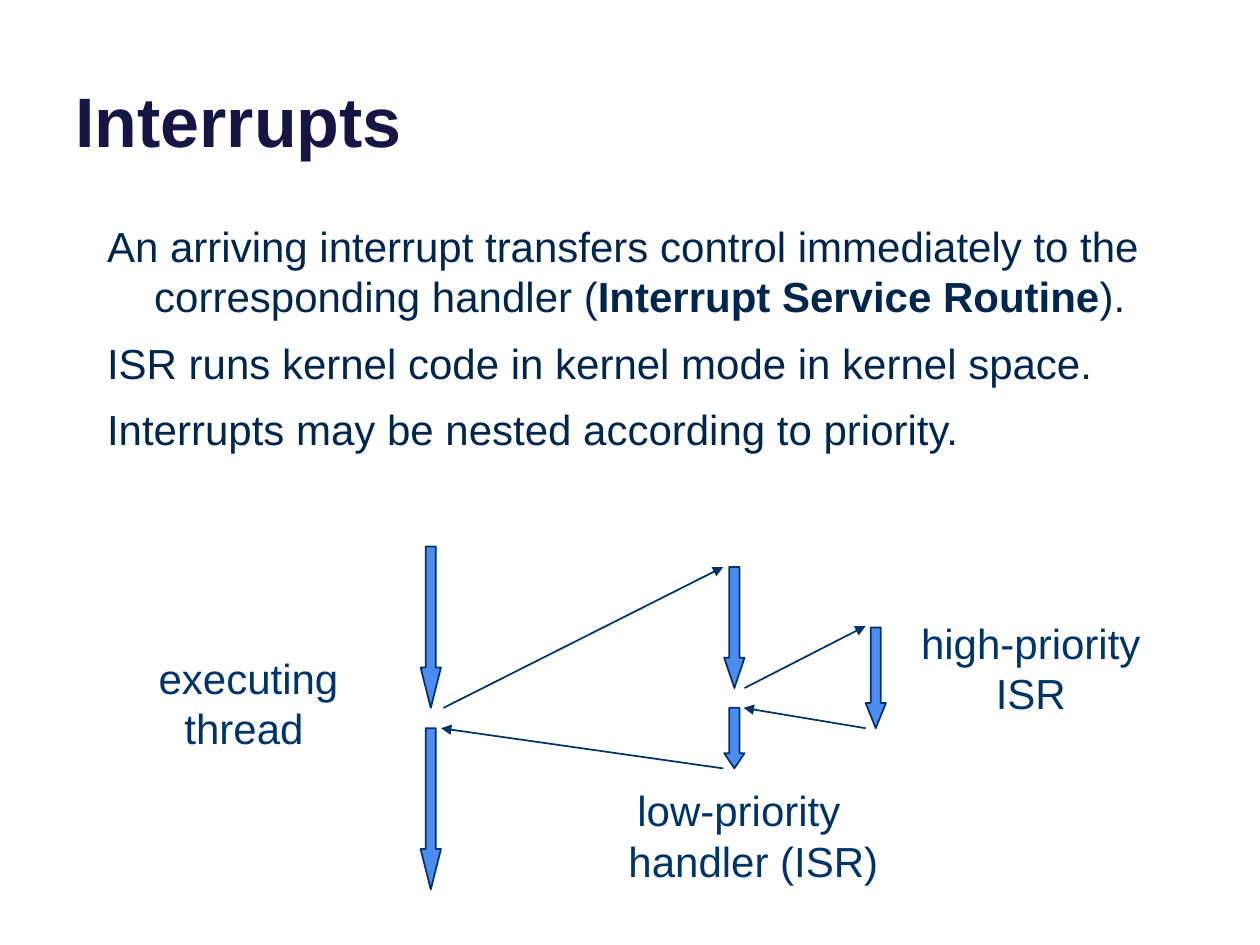
"""Build a slide on nested interrupts: three statements above a control-transfer diagram."""
from typing import NamedTuple

from lxml.etree import SubElement
from pptx import Presentation
from pptx.dml.color import RGBColor
from pptx.enum.shapes import MSO_CONNECTOR, MSO_SHAPE
from pptx.enum.text import MSO_ANCHOR, PP_ALIGN
from pptx.oxml.ns import qn
from pptx.slide import Slide
from pptx.util import Cm, Pt

TITLE_COLOR = "161645"
BODY_COLOR = "00264D"
DIAGRAM_COLOR = "003367"
ARROW_FILL = "4D8CF1"
ARROW_WIDTH = 0.41
THREAD_X, LOW_X, HIGH_X = 8.48, 14.6, 17.45


class Execution(NamedTuple):
    left: float
    top: float
    length: float


class Transfer(NamedTuple):
    start_x: float
    start_y: float
    end_x: float
    end_y: float


class Label(NamedTuple):
    text: str
    left: float
    top: float
    width: float
    align: PP_ALIGN
    wrap: bool
    first_indent: float


EXECUTIONS = [
    Execution(THREAD_X, 11.02, 3.25),
    Execution(THREAD_X, 14.68, 3.25),
    Execution(LOW_X, 11.43, 2.44),
    Execution(LOW_X, 14.27, 1.22),
    Execution(HIGH_X, 12.65, 2.03),
]
TRANSFERS = [
    Transfer(8.94, 14.27, 14.58, 11.43),
    Transfer(15.01, 13.87, 17.45, 12.62),
    Transfer(17.45, 14.68, 14.99, 14.27),
    Transfer(14.58, 15.49, 8.89, 14.68),
]
LABELS = [
    Label("executing thread", 1.91, 13.03, 6.02, PP_ALIGN.CENTER, True, 0.18),
    Label("low-priority\nhandler (ISR)", 12.42, 15.7, 5.59, PP_ALIGN.LEFT, False, 0.18),
    Label("high-priority\nISR", 18.29, 12.32, 4.98, PP_ALIGN.CENTER, False, 0),
]
STATEMENTS = "\n".join([
    "An arriving interrupt transfers control immediately to the "
    "corresponding handler (**Interrupt Service Routine**).",
    "ISR runs kernel code in kernel mode in kernel space.",
    "Interrupts may be nested according to priority.",
])


def rgb(value: str) -> RGBColor:
    """Turn a hex string into a colour."""
    return RGBColor.from_string(value)


def add_text(slide: Slide, text: str, *, left: float, top: float, width: float,
             height: float, color: str, size: float = 24, bold: bool = False,
             align: PP_ALIGN = PP_ALIGN.LEFT, anchor: MSO_ANCHOR = MSO_ANCHOR.TOP,
             wrap: bool = True, gap: float = 0, hanging: float = 0,
             first_indent: float = 0) -> None:
    """Add text with one paragraph per line; double asterisks enclose bold words."""
    box = slide.shapes.add_textbox(Cm(left), Cm(top), Cm(width), Cm(height))
    frame = box.text_frame
    frame.word_wrap = wrap
    frame.vertical_anchor = anchor
    for index, line in enumerate(text.split("\n")):
        paragraph = frame.add_paragraph() if index else frame.paragraphs[0]
        paragraph.alignment = align
        paragraph.space_before = Pt(gap if index else 0)
        properties = paragraph._p.get_or_add_pPr()
        if hanging:
            properties.set("marL", str(Cm(hanging)))
            properties.set("indent", str(-Cm(hanging)))
        elif first_indent and index == 0:
            properties.set("indent", str(Cm(first_indent)))
        for part, words in enumerate(line.split("**")):
            run = paragraph.add_run()
            run.text = words
            run.font.name = "Arial"
            run.font.size = Pt(size)
            run.font.bold = bold or part % 2 == 1
            run.font.color.rgb = rgb(color)


def add_execution(slide: Slide, execution: Execution) -> None:
    """Draw a block arrow whose head takes a quarter of its length."""
    arrow = slide.shapes.add_shape(
        MSO_SHAPE.DOWN_ARROW, Cm(execution.left), Cm(execution.top),
        Cm(ARROW_WIDTH), Cm(execution.length))
    arrow.adjustments[0] = 0.5
    arrow.adjustments[1] = execution.length / 4 / ARROW_WIDTH
    arrow.shadow.inherit = False
    arrow.fill.solid()
    arrow.fill.fore_color.rgb = rgb(ARROW_FILL)
    arrow.line.color.rgb = rgb(DIAGRAM_COLOR)
    arrow.line.width = Pt(1)


def add_transfer(slide: Slide, transfer: Transfer) -> None:
    """Draw a thin line with an arrowhead where control arrives."""
    connector = slide.shapes.add_connector(
        MSO_CONNECTOR.STRAIGHT, *(Cm(value) for value in transfer))
    connector.line.color.rgb = rgb(DIAGRAM_COLOR)
    connector.line.width = Pt(1)
    SubElement(connector.line._get_or_add_ln(), qn("a:tailEnd"), type="triangle")
    SubElement(connector._element.spPr, qn("a:effectLst"))


def main() -> None:
    """Assemble and save the slide."""
    presentation = Presentation()
    presentation.slide_width, presentation.slide_height = Cm(25.4), Cm(19.05)
    slide = presentation.slides.add_slide(presentation.slide_layouts[6])
    add_text(slide, "Interrupts", left=1.27, top=-0.94, width=22.86, height=4.32,
             color=TITLE_COLOR, size=40, bold=True, anchor=MSO_ANCHOR.BOTTOM)
    add_text(slide, STATEMENTS, left=1.91, top=4.32, width=21.59, height=6.27,
             color=BODY_COLOR, gap=9, hanging=0.95)
    for label in LABELS:
        add_text(slide, height=2.31, color=DIAGRAM_COLOR, **label._asdict())
    for transfer in TRANSFERS:
        add_transfer(slide, transfer)
    for execution in EXECUTIONS:
        add_execution(slide, execution)
    presentation.save("out.pptx")


if __name__ == "__main__":
    main()
